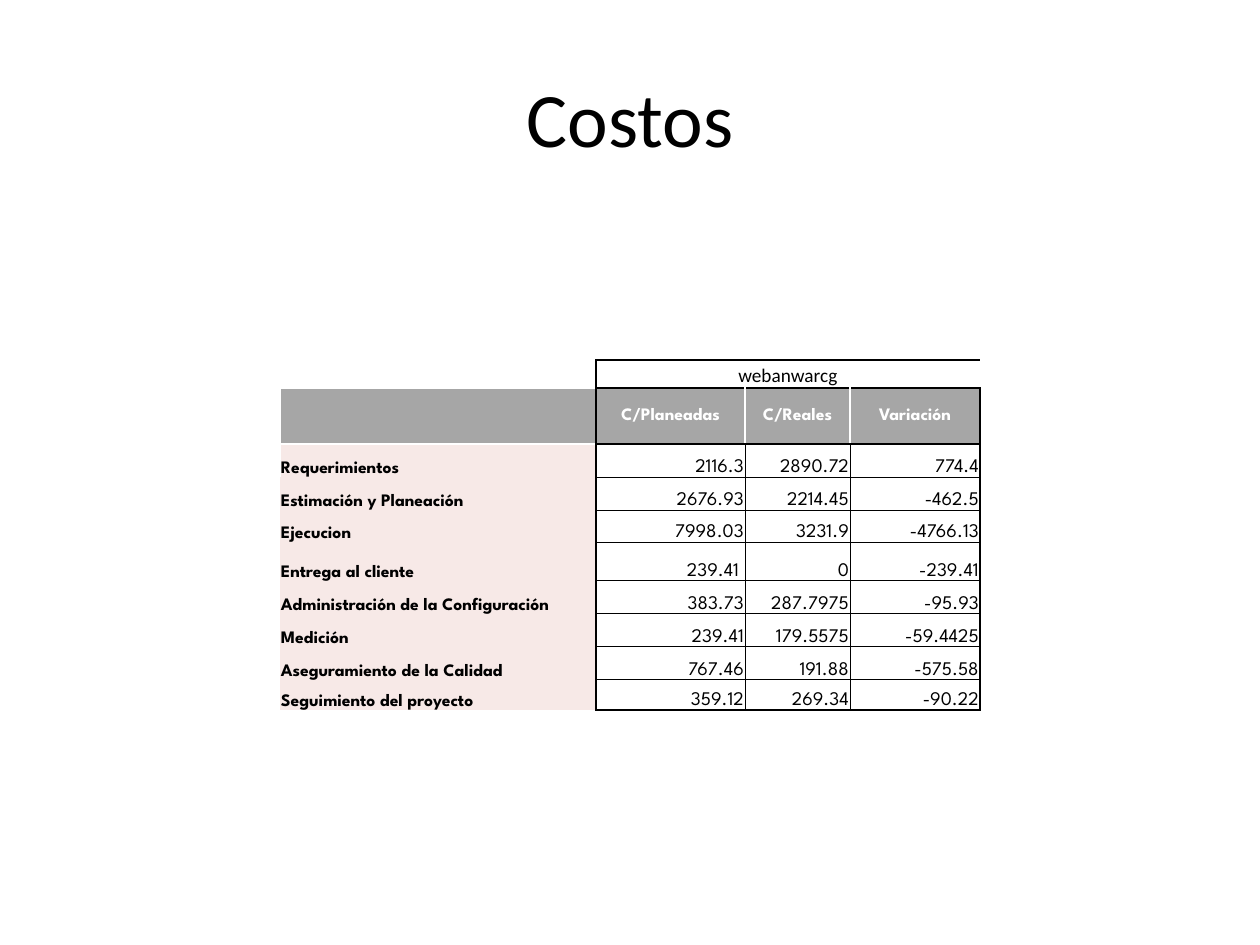
from dataclasses import dataclass

from lxml import etree
from pptx import Presentation
from pptx.dml.color import RGBColor
from pptx.enum.text import MSO_ANCHOR, PP_ALIGN
from pptx.oxml.ns import qn
from pptx.util import Pt

LEFT, CENTER, RIGHT = PP_ALIGN.LEFT, PP_ALIGN.CENTER, PP_ALIGN.RIGHT
MIDDLE, BOTTOM = MSO_ANCHOR.MIDDLE, MSO_ANCHOR.BOTTOM

TITLE = "Costos"
ROWS = [
    ("", "webanwarcg", "", ""),
    ("", "C/Planeadas", "C/Reales", "Variación"),
    ("Requerimientos", "2116.3", "2890.72", "774.4"),
    ("Estimación y Planeación", "2676.93", "2214.45", "-462.5"),
    ("Ejecucion", "7998.03", "3231.9", "-4766.13"),
    ("Entrega al cliente", "239.41 ", "0", "-239.41"),
    ("Administración de la Configuración", "383.73", "287.7975", "-95.93"),
    ("Medición", "239.41", "179.5575", "-59.4425"),
    ("Aseguramiento de la Calidad", "767.46", "191.88", "-575.58"),
    ("Seguimiento del proyecto", "359.12", "269.34", "-90.22"),
]
COLUMN_WIDTHS = [316, 149, 105, 130]
ROW_HEIGHTS = [28, 56, 33, 33, 32, 39, 33, 33, 33, 30]
TITLE_BOX = (63, 38, 1134, 157)
TABLE_ORIGIN = (280, 360)


@dataclass(frozen=True)
class Theme:
    body: str = "Calibri"
    accent: str = "League Spartan"
    black: str = "000000"
    white: str = "FFFFFF"
    header: str = "A6A6A6"
    label: str = "F7E9E7"
    title_size: int = 44
    value_size: int = 11
    label_size: int = 10
    thick: float = 1
    thin: float = 0.5


THEME = Theme()
THICK_BLACK = (THEME.black, THEME.thick)
THIN_BLACK = (THEME.black, THEME.thin)
THICK_WHITE = (THEME.white, THEME.thick)


def px(value):
    return value * 914400 // 126


def style_paragraph(paragraph, name, size, color, bold, alignment):
    paragraph.alignment = alignment
    paragraph.font.name = name
    paragraph.font.size = Pt(size)
    paragraph.font.bold = bold
    paragraph.font.color.rgb = RGBColor.from_string(color)


def cell_style(row, column):
    if row == 0:
        return THEME.body, THEME.value_size, THEME.black, False, CENTER
    if row == 1:
        return THEME.accent, THEME.label_size, THEME.white, True, CENTER
    if column == 0:
        return THEME.accent, THEME.label_size, THEME.black, True, LEFT
    return THEME.accent, THEME.value_size, THEME.black, False, RIGHT


def cell_fill(row, column):
    if row == 1:
        return THEME.header
    return THEME.label if row > 1 and column == 0 else None


def vertical_line(row, edge):
    if edge == 0:
        return THICK_WHITE if row in (1, 2) else None
    if edge in (1, len(COLUMN_WIDTHS)):
        return THICK_BLACK
    if row == 0:
        return None
    return THICK_WHITE if row == 1 else THIN_BLACK


def horizontal_line(edge, column):
    if column == 0:
        return THICK_WHITE if edge in (1, 2) else None
    return THICK_BLACK if edge in (0, 1, 2, len(ROWS)) else THIN_BLACK


def add_border(cell, tag, line):
    border = etree.SubElement(cell._tc.get_or_add_tcPr(), qn(tag))
    if line is None:
        etree.SubElement(border, qn("a:noFill"))
        return
    color, width = line
    border.set("w", str(Pt(width)))
    fill = etree.SubElement(border, qn("a:solidFill"))
    etree.SubElement(fill, qn("a:srgbClr")).set("val", color)


def fill_cell(cell, row, column, text):
    cell.margin_left = cell.margin_right = cell.margin_top = px(1)
    cell.margin_bottom = 0
    cell.vertical_anchor = MIDDLE if row == 1 else BOTTOM
    paragraph = cell.text_frame.paragraphs[0]
    if text:
        paragraph.add_run().text = text
    style_paragraph(paragraph, *cell_style(row, column))
    add_border(cell, "a:lnL", vertical_line(row, column))
    add_border(cell, "a:lnR", vertical_line(row, column + 1))
    add_border(cell, "a:lnT", horizontal_line(row, column))
    add_border(cell, "a:lnB", horizontal_line(row + 1, column))
    color = cell_fill(row, column)
    if color:
        cell.fill.solid()
        cell.fill.fore_color.rgb = RGBColor.from_string(color)
    else:
        cell.fill.background()


def add_title(slide):
    shape = slide.shapes.add_textbox(*map(px, TITLE_BOX))
    frame = shape.text_frame
    frame.word_wrap = True
    frame.vertical_anchor = MIDDLE
    frame.text = TITLE
    style_paragraph(frame.paragraphs[0], THEME.body, THEME.title_size, THEME.black, False, CENTER)


def add_cost_table(slide):
    size = (sum(COLUMN_WIDTHS), sum(ROW_HEIGHTS))
    shape = slide.shapes.add_table(
        len(ROWS), len(COLUMN_WIDTHS), *map(px, TABLE_ORIGIN + size))
    table = shape.table
    table.first_row = table.horz_banding = False
    for column, width in zip(table.columns, COLUMN_WIDTHS):
        column.width = px(width)
    for row, height in zip(table.rows, ROW_HEIGHTS):
        row.height = px(height)
    for row, texts in enumerate(ROWS):
        for column, text in enumerate(texts):
            fill_cell(table.cell(row, column), row, column, text)
    table.cell(0, 1).merge(table.cell(0, 3))


def main():
    presentation = Presentation()
    presentation.slide_width, presentation.slide_height = px(1260), px(945)
    slide = presentation.slides.add_slide(presentation.slide_layouts[6])
    add_title(slide)
    add_cost_table(slide)
    presentation.save("out.pptx")


if __name__ == "__main__":
    main()
